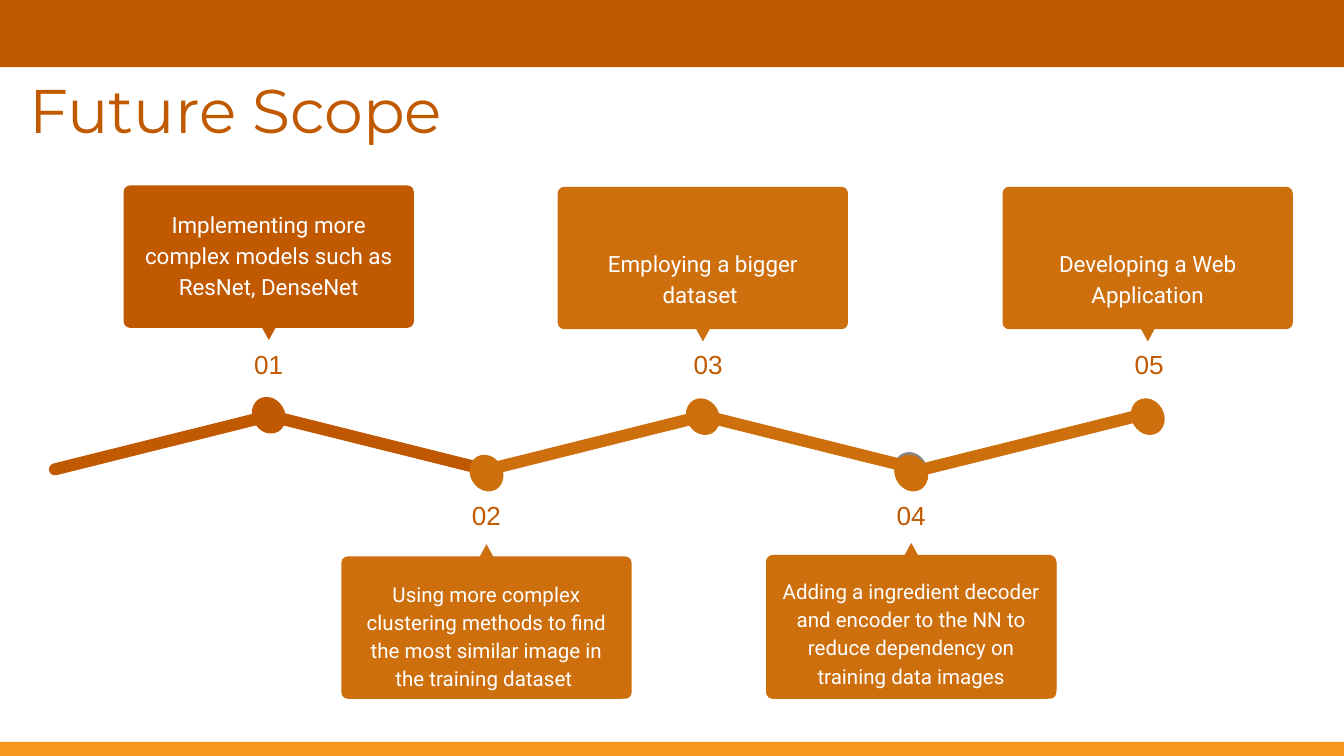
from dataclasses import dataclass

from pptx import Presentation
from pptx.dml.color import RGBColor
from pptx.enum import shapes, text
from pptx.util import Inches, Pt

RUST = RGBColor(0xC0, 0x59, 0x00)
DARK_RUST = RGBColor(0xBF, 0x57, 0x00)
ORANGE = RGBColor(0xCE, 0x6F, 0x0D)
AMBER = RGBColor(0xF7, 0x96, 0x1F)
GRAY = RGBColor(0x85, 0x85, 0x85)
WHITE = RGBColor(0xFF, 0xFF, 0xFF)

KIND = shapes.MSO_SHAPE
TOP, BOTTOM = text.MSO_ANCHOR.TOP, text.MSO_ANCHOR.BOTTOM
CENTER = text.PP_ALIGN.CENTER

CARD_W, CARD_H = 2.16, 1.06
DOT_W, DOT_H = 0.2, 0.24
POINTER_W, POINTER_H = 0.11, 0.1
SEGMENT_COLORS = [RUST, DARK_RUST, ORANGE, ORANGE, ORANGE]


@dataclass
class Milestone:
    number: str
    words: str
    x: float
    number_x: float
    card_top: float
    dot_top: float
    size: int = 12
    anchor: object = TOP
    color: RGBColor = ORANGE
    dot_color: RGBColor = ORANGE
    above: bool = True
    text_w: float = 2.04
    text_shift: float = 0.06


MILESTONES = [
    Milestone("01", "Implementing more complex models such as ResNet, DenseNet",
              2.0, 2.0, 1.38, 2.97, color=RUST, dot_color=DARK_RUST),
    Milestone("02", "Using more complex clustering methods to find the most "
              "similar image in the training dataset ",
              3.62, 3.62, 4.14, 3.4, size=11, above=False),
    Milestone("03", "Employing a bigger dataset ",
              5.23, 5.27, 1.39, 2.98, anchor=BOTTOM),
    Milestone("04", "Adding a ingredient decoder and encoder to the NN to "
              "reduce dependency on training data images",
              6.78, 6.78, 4.14, 3.4, size=11, above=False,
              text_w=CARD_W, text_shift=0.04),
    Milestone("05", "Developing a Web Application",
              8.54, 8.55, 1.39, 2.98, anchor=BOTTOM),
]


def add_block(slide, kind, left, top, width, height, color, rotation=0, adj=None):
    block = slide.shapes.add_shape(
        kind, Inches(left), Inches(top), Inches(width), Inches(height))
    block.shadow.inherit = False
    block.fill.solid()
    block.fill.fore_color.rgb = color
    block.line.fill.background()
    block.rotation = rotation
    if adj is not None:
        block.adjustments[0] = adj
    return block


def add_words(paragraph, words, font, size, color):
    run = paragraph.add_run()
    run.text = words
    run.font.name = font
    run.font.size = Pt(size)
    run.font.color.rgb = color


def add_title(slide, words):
    title = slide.shapes.title
    title.left, title.top = Inches(0.12), Inches(0.55)
    title.width, title.height = Inches(9.32), Inches(0.77)
    frame = title.text_frame
    frame.vertical_anchor = TOP
    frame.auto_size = text.MSO_AUTO_SIZE.NONE
    heading = frame.paragraphs[0]
    heading.alignment = text.PP_ALIGN.LEFT
    heading.line_spacing = 0.9
    add_words(heading, words, "Montserrat", 33, RUST)


def add_dot(slide, x, top, color, outline):
    dot = add_block(slide, KIND.OVAL, x - DOT_W / 2, top, DOT_W, DOT_H, color, 330.2)
    dot.line.color.rgb = outline
    dot.line.width = Pt(3)


def add_card(slide, x, top, color, above):
    add_block(slide, KIND.ROUNDED_RECTANGLE, x - CARD_W / 2, top,
              CARD_W, CARD_H, color, adj=0.045)
    # The pointer faces the timeline
    pointer_top = top + 1.05 if above else top - 0.09
    add_block(slide, KIND.ISOSCELES_TRIANGLE, x - POINTER_W / 2, pointer_top,
              POINTER_W, POINTER_H, color, 180 if above else 0)


def add_card_text(slide, step):
    panel = add_block(slide, KIND.RECTANGLE, step.x - step.text_w / 2,
                      step.card_top + step.text_shift, step.text_w, 0.94, step.color)
    frame = panel.text_frame
    frame.word_wrap = True
    frame.vertical_anchor = step.anchor
    frame.margin_left = frame.margin_right = Inches(0.1)
    frame.margin_top = frame.margin_bottom = Inches(0.1)
    paragraph = frame.paragraphs[0]
    paragraph.alignment = CENTER
    paragraph.line_spacing = 1.15
    paragraph.space_after = Pt(16)
    add_words(paragraph, step.words, "Roboto", step.size, WHITE)


def add_number(slide, step):
    width = 0.5
    top = 2.54 if step.above else 3.67
    label = slide.shapes.add_textbox(
        Inches(step.number_x - width / 2), Inches(top), Inches(width), Inches(0.35))
    label.text_frame.word_wrap = True
    paragraph = label.text_frame.paragraphs[0]
    paragraph.alignment = CENTER
    add_words(paragraph, step.number, "Arial", 14, RUST)


def add_milestone(slide, step):
    add_dot(slide, step.x, step.dot_top, step.dot_color, step.color)
    add_card(slide, step.x, step.card_top, step.color, step.above)
    add_card_text(slide, step)
    add_number(slide, step)


def main():
    prs = Presentation()
    # Widescreen page, 16 to 9
    prs.slide_width = Inches(10)
    prs.slide_height = prs.slide_width * 9 // 16
    slide = prs.slides.add_slide(prs.slide_layouts[5])

    # Page bands and title
    add_block(slide, KIND.RECTANGLE, 0, 0, 10, 0.5, RUST)
    add_block(slide, KIND.RECTANGLE, 0, 5.52, 10, 0.11, AMBER)
    add_title(slide, "Future Scope")

    # Gray-edged backing of the fourth milestone
    add_dot(slide, 6.78, 3.38, ORANGE, GRAY)
    add_card(slide, 6.78, 4.13, ORANGE, above=False)

    # Zigzag line, rising and falling in turn
    for i, color in enumerate(SEGMENT_COLORS):
        add_block(slide, KIND.ROUNDED_RECTANGLE, 0.34 + 1.615 * i, 3.25, 1.72, 0.09,
                  color, 14 if i % 2 else 346, adj=0.5)

    # Milestones
    for step in MILESTONES:
        add_milestone(slide, step)

    prs.save("out.pptx")


if __name__ == "__main__":
    main()
